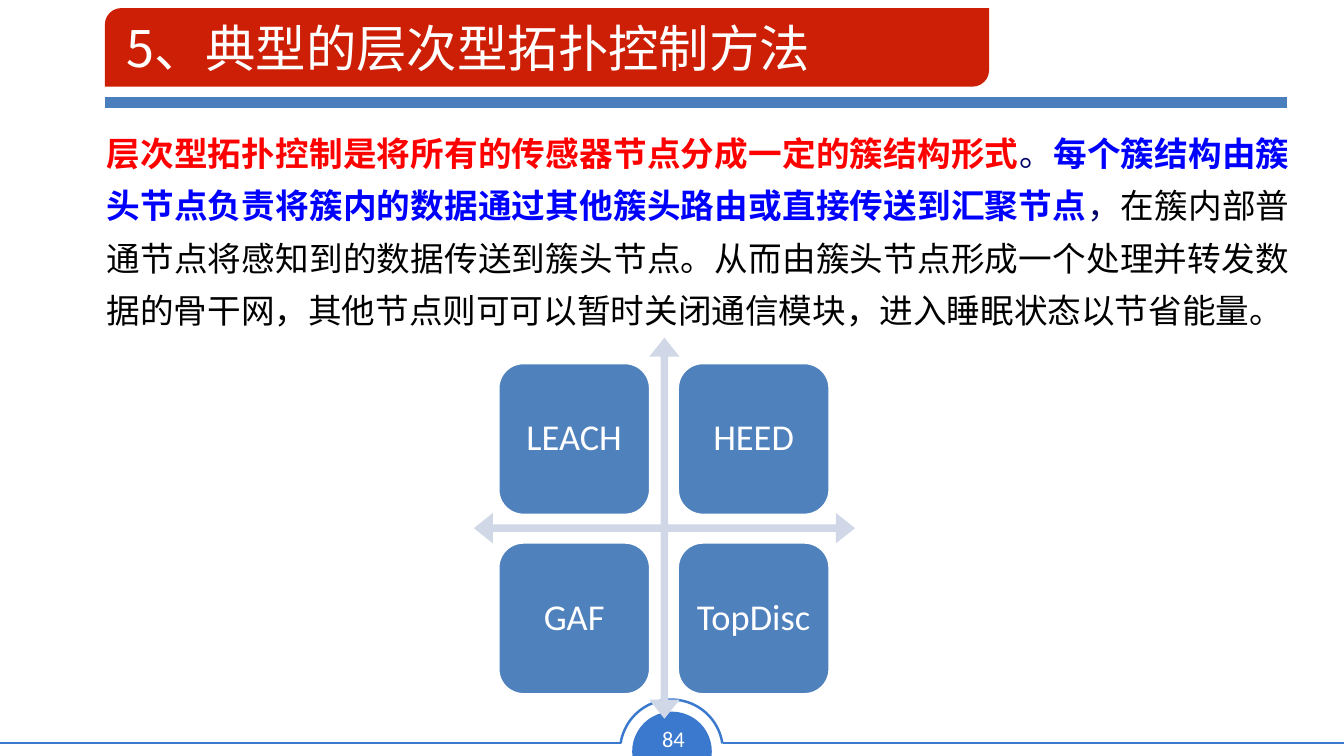
from lxml import etree
from pptx import Presentation
from pptx.dml.color import RGBColor
from pptx.enum import shapes, text
from pptx.oxml.ns import qn
from pptx.util import Inches, Pt

ACCENT = RGBColor(0x3B, 0x79, 0xCE)
RULE = RGBColor(0x4B, 0x7E, 0xBC)
BANNER = RGBColor(0xCD, 0x1F, 0x06)
ARROW = RGBColor(0xD0, 0xD8, 0xE8)
TILE = RGBColor(0x4F, 0x81, 0xBD)
WHITE = RGBColor(0xFF, 0xFF, 0xFF)
RED = RGBColor(0xFF, 0x00, 0x00)
BLUE = RGBColor(0x00, 0x00, 0xFF)
NAVY = RGBColor(0x00, 0x00, 0x66)
BLACK = RGBColor(0x00, 0x00, 0x00)
CHINESE = "Noto Sans CJK SC"
LATIN = "Calibri"


def add_shape(kind, left, top, width, height, fill=None, adjustments=()):
    shape = slide.shapes.add_shape(
        kind, Inches(left), Inches(top), Inches(width), Inches(height))
    shape.shadow.inherit = False
    shape.line.fill.background()
    if fill is None:
        shape.fill.background()
    else:
        shape.fill.solid()
        shape.fill.fore_color.rgb = fill
    for index, value in enumerate(adjustments):
        shape.adjustments[index] = value
    return shape


def add_run(paragraph, words, size, name, color, bold=False):
    run = paragraph.add_run()
    run.text = words
    run.font.size = Pt(size)
    run.font.name = name
    run.font.bold = bold
    run.font.color.rgb = color
    etree.SubElement(run.font._element, qn("a:ea")).set("typeface", name)


presentation = Presentation()
presentation.slide_width = Inches(13.33)
presentation.slide_height = Inches(7.5)
slide = presentation.slides.add_slide(presentation.slide_layouts[6])

badge = add_shape(shapes.MSO_SHAPE.CHORD, 6.27, 7.06, 0.79, 0.79, ACCENT, (35.77, 153.29))
badge.rotation = 112.4
ring = add_shape(shapes.MSO_SHAPE.ARC, 6.15, 6.94, 1.02, 1.02, None, (113.17, 210.98))
ring.line.color.rgb = ACCENT
ring.line.width = Pt(1.77)

for start, end, y, color, width in (
    (7.17, 13.33, 7.37, ACCENT, 1.77),
    (0, 6.16, 7.37, ACCENT, 1.77),
    (1.04, 12.76, 1.02, RULE, 8),
):
    line = slide.shapes.add_connector(
        shapes.MSO_CONNECTOR.STRAIGHT, Inches(start), Inches(y), Inches(end), Inches(y))
    line.line.color.rgb = color
    line.line.width = Pt(width)
    etree.SubElement(line._element.spPr, qn("a:effectLst"))

number = slide.shapes.add_textbox(Inches(6.45), Inches(7.14), Inches(0.46), Inches(0.37))
number.text_frame.word_wrap = False
paragraph = number.text_frame.paragraphs[0]
paragraph.alignment = text.PP_ALIGN.CENTER
add_run(paragraph, "84", 16, LATIN, WHITE)

add_shape(shapes.MSO_SHAPE.ROUND_2_DIAG_RECTANGLE, 1.04, 0.08, 8.77, 0.78, BANNER, (0.21, 0))
title = slide.shapes.add_textbox(Inches(1.16), Inches(0.1), Inches(11.57), Inches(0.74))
title.text_frame.word_wrap = True
title.text_frame.vertical_anchor = text.MSO_ANCHOR.MIDDLE
add_run(title.text_frame.paragraphs[0], "5、典型的层次型拓扑控制方法", 36, CHINESE, WHITE)

body = slide.shapes.add_textbox(Inches(0.96), Inches(1.15), Inches(11.93), Inches(2.2))
body.text_frame.word_wrap = True
paragraph = body.text_frame.paragraphs[0]
paragraph.alignment = text.PP_ALIGN.JUSTIFY
paragraph.line_spacing = 1.3
for words, color, bold in (
    ("层次型拓扑控制是将所有的传感器节点分成一定的簇结构形式", RED, True),
    ("。", NAVY, False),
    ("每个簇结构由簇头节点负责将簇内的数据通过其他簇头路由或直接传送到汇聚节点", BLUE, True),
    ("，", NAVY, False),
    ("在簇内部普通节点将感知到的数据传送到簇头节点。从而由簇头节点形成一个处理并转发数据的骨干网，"
     "其他节点则可可以暂时关闭通信模块，进入睡眠状态以节省能量。", BLACK, False),
):
    add_run(paragraph, words, 24, CHINESE, color, bold)

add_shape(shapes.MSO_SHAPE.QUAD_ARROW, 4.7, 3.35, 3.78, 3.78, ARROW, (0.02, 0.04, 0.05))
for index, method in enumerate(("LEACH", "HEED", "GAF", "TopDisc")):
    row, column = divmod(index, 2)
    tile = add_shape(shapes.MSO_SHAPE.ROUNDED_RECTANGLE,
                     4.94 + column * 1.78, 3.6 + row * 1.78, 1.51, 1.51, TILE)
    tile.line.color.rgb = WHITE
    tile.line.width = Pt(2)
    frame = tile.text_frame
    frame.word_wrap = True
    frame.vertical_anchor = text.MSO_ANCHOR.MIDDLE
    frame.margin_left = frame.margin_right = Inches(0.1)
    paragraph = frame.paragraphs[0]
    paragraph.alignment = text.PP_ALIGN.CENTER
    paragraph.line_spacing = 0.9
    add_run(paragraph, method, 26, LATIN, WHITE)

presentation.save("out.pptx")
